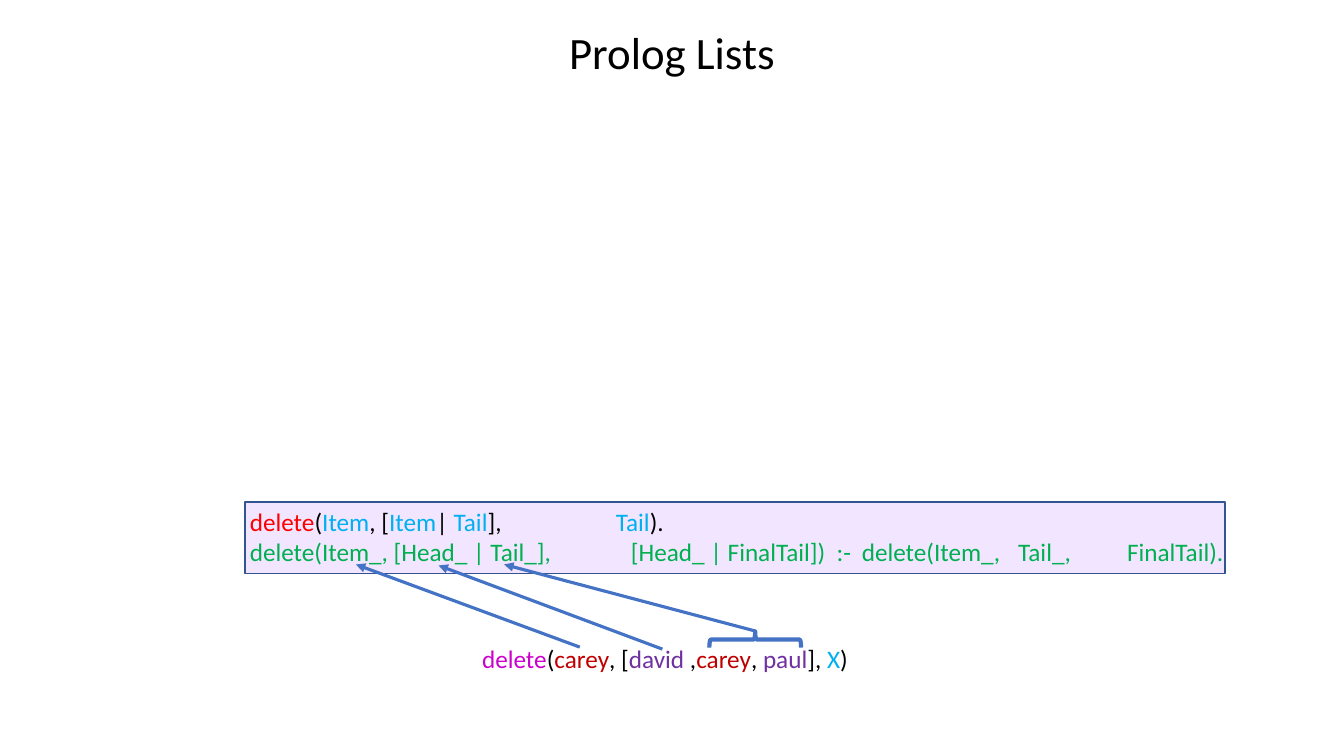
from lxml import etree
from pptx import Presentation
from pptx import util as u
from pptx.dml.color import RGBColor
from pptx.enum import shapes, text
from pptx.oxml.ns import qn

COLORS = {
    "black": "000000", "red": "FF0000", "sky": "00B0F0", "green": "00B050",
    "magenta": "CC00CC", "crimson": "C00000", "purple": "7030A0",
    "lilac": "F2E5FF", "navy": "325491", "blue": "4472C4",
}


def rgb(name):
    return RGBColor.from_string(COLORS[name])


def add_text(s, box, lines, size=18, align=text.PP_ALIGN.LEFT, tabs=()):
    sp = s.shapes.add_textbox(*[u.Inches(v) for v in box])
    tf = sp.text_frame
    tf.word_wrap = True
    for i, line in enumerate(lines):
        p = tf.paragraphs[0] if i == 0 else tf.add_paragraph()
        p.alignment = align
        if tabs:
            tab_list = etree.SubElement(p._p.get_or_add_pPr(), qn("a:tabLst"))
            for pos in tabs[i]:
                etree.SubElement(tab_list, qn("a:tab"), pos=str(u.Inches(pos)), algn="l")
        for words, color in line:
            r = p.add_run()
            r.text = words
            r.font.name = "Calibri"
            r.font.size = u.Pt(size)
            r.font.color.rgb = rgb(color)
    return tf


prs = Presentation()
prs.slide_width = u.Inches(13.33)
prs.slide_height = u.Inches(7.5)
s = prs.slides.add_slide(prs.slide_layouts[6])

panel = s.shapes.add_shape(shapes.MSO_SHAPE.RECTANGLE, u.Inches(2.43), u.Inches(4.98),
                           u.Inches(9.72), u.Inches(0.71))
panel.shadow.inherit = False
panel.fill.solid()
panel.fill.fore_color.rgb = rgb("lilac")
panel.line.color.rgb = rgb("navy")
panel.line.width = u.Pt(1)

base_case = [
    ("delete", "red"), ("(", "black"), ("Item", "sky"), (", [", "black"),
    ("Item", "sky"), ("| ", "black"), ("Tail", "sky"), ("],\t", "black"),
    ("Tail", "sky"), (").", "black"),
]
recursive_case = [
    ("delete(Item_, [Head_ | Tail_],\t[Head_ | FinalTail])\t:-\tdelete(Item_,\tTail_,\tFinalTail).",
     "green"),
]
add_text(s, (2.38, 4.97, 10.1, 0.71), [base_case, recursive_case],
         tabs=[[3.63], [3.78, 5.82, 6.07, 7.62, 8.7]])

tf = add_text(s, (1, -0.08, 11.33, 1.25), [[("Prolog Lists", "black")]], 32,
              text.PP_ALIGN.CENTER)
tf.vertical_anchor = text.MSO_ANCHOR.MIDDLE
tf.paragraphs[0].line_spacing = 0.9

query = [
    ("delete", "magenta"), ("(", "black"), ("carey", "crimson"), (", [", "black"),
    ("david ", "purple"), (",", "black"), ("carey", "crimson"), (", ", "black"),
    ("paul", "purple"), ("], ", "black"), ("X", "sky"), (")", "black"),
]
add_text(s, (1.64, 6.33, 9.91, 0.4), [query], align=text.PP_ALIGN.CENTER)

brace = s.shapes.add_shape(shapes.MSO_SHAPE.LEFT_BRACE, u.Inches(7.41), u.Inches(5.89),
                           u.Inches(0.16), u.Inches(0.91))
brace.rotation = 90
brace.shadow.inherit = False
brace.fill.background()
brace.line.color.rgb = rgb("blue")
brace.line.width = u.Pt(3)

bindings = [
    (5.75, 6.42, 3.53, 5.6),
    (7.49, 6.26, 5, 5.6),
    (6.57, 6.44, 4.35, 5.61),
]
for ends in bindings:
    arrow = s.shapes.add_connector(shapes.MSO_CONNECTOR.STRAIGHT, *[u.Inches(v) for v in ends])
    arrow.line.color.rgb = rgb("blue")
    arrow.line.width = u.Pt(2.25)
    etree.SubElement(arrow.line._get_or_add_ln(), qn("a:tailEnd"), type="triangle")
    etree.SubElement(arrow._element.spPr, qn("a:effectLst"))

prs.save("out.pptx")
